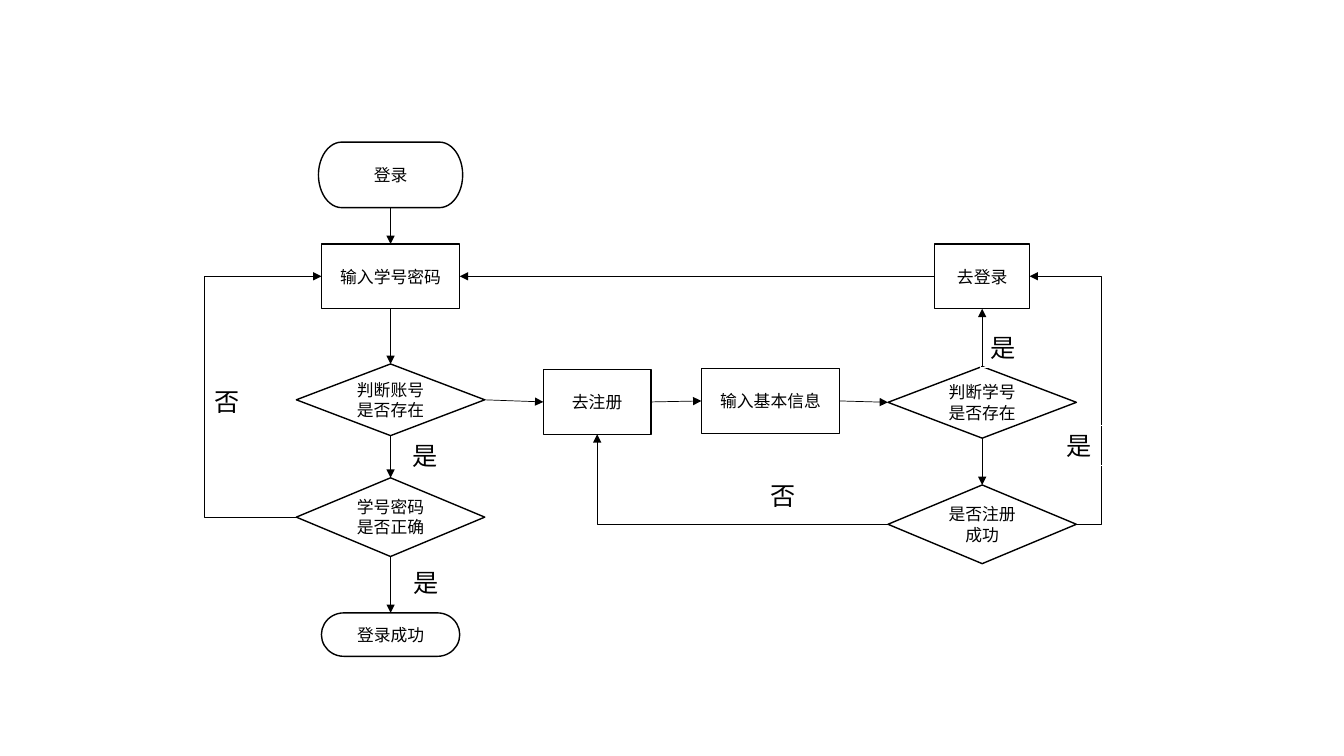
from dataclasses import dataclass
from typing import NamedTuple

from lxml.etree import SubElement
from pptx import Presentation
from pptx.dml.color import RGBColor
from pptx.enum.shapes import MSO_CONNECTOR, MSO_SHAPE
from pptx.enum.text import MSO_ANCHOR, MSO_AUTO_SIZE, PP_ALIGN
from pptx.oxml.ns import qn
from pptx.util import Pt


@dataclass(frozen=True)
class Theme:
    ink: RGBColor = RGBColor(0, 0, 0)
    paper: RGBColor = RGBColor(255, 255, 255)
    font: str = "Noto Sans CJK SC"
    node_size: float = 12
    label_size: float = 18
    node_line: float = 1
    label_line: float = 0.75
    arrow_line: float = 0.5


THEME = Theme()
TOP, LEFT, BOTTOM, RIGHT = range(4)
LOGIN_X, REGISTER_X, INFO_X, CHECK_X = 279, 426.6, 550.4, 701.6


class Node(NamedTuple):
    """A flowchart step placed by its centre."""
    text: str
    kind: MSO_SHAPE
    x: float
    y: float
    w: float
    h: float


class Label(NamedTuple):
    text: str
    x: float
    y: float
    w: float = 34.6
    h: float = 28.8


class Link(NamedTuple):
    start: str
    start_side: int
    end: str
    end_side: int


class Bend(NamedTuple):
    """An elbow arrow; without via_x it turns a single corner."""
    x1: float
    y1: float
    x2: float
    y2: float
    via_x: float | None = None


START = MSO_SHAPE.FLOWCHART_TERMINATOR
STEP = MSO_SHAPE.FLOWCHART_PROCESS
TEST = MSO_SHAPE.FLOWCHART_DECISION

NODES = {
    "login": Node("登录", START, LOGIN_X, 124.9, 103, 46.8),
    "input": Node("输入学号密码", STEP, LOGIN_X, 197.4, 98.8, 46.2),
    "account": Node("判断账号是否存在", TEST, LOGIN_X, 285.6, 134.6, 51.2),
    "password": Node("学号密码是否正确", TEST, LOGIN_X, 369.4, 134.6, 56.2),
    "success": Node("登录成功", START, LOGIN_X, 453.3, 98.8, 31),
    "register": Node("去注册", STEP, REGISTER_X, 287.1, 77, 46.2),
    "info": Node("输入基本信息", STEP, INFO_X, 286.4, 98.8, 46.2),
    "number": Node("判断学号是否存在", TEST, CHECK_X, 287.4, 134.6, 51.2),
    "to_login": Node("去登录", STEP, CHECK_X, 197.4, 67.8, 46.2),
    "registered": Node("是否注册成功", TEST, CHECK_X, 374.5, 134.6, 56.2),
}

LABELS = [
    Label("是", 287.3, 311),
    Label("否", 146.2, 272.2, 32.4),
    Label("是", 700.6, 234),
    Label("是", 288, 401.8),
    Label("否", 543.6, 339.8, 32.4),
]
LABEL_OVER_LINE = Label("是", 754.6, 303.8)

LINKS = [
    Link("login", BOTTOM, "input", TOP),
    Link("input", BOTTOM, "account", TOP),
    Link("account", BOTTOM, "password", TOP),
    Link("password", BOTTOM, "success", TOP),
    Link("account", RIGHT, "register", LEFT),
    Link("register", RIGHT, "info", LEFT),
    Link("info", RIGHT, "number", LEFT),
    Link("number", TOP, "to_login", BOTTOM),
    Link("number", BOTTOM, "registered", TOP),
    Link("to_login", LEFT, "input", RIGHT),
]

BENDS = [
    Bend(211.7, 369.4, 229.6, 197.4, 145.6),
    Bend(768.9, 374.5, 735.5, 197.4, 787),
    Bend(634.3, 374.5, 426.6, 310.2),
]


def write_text(sp, text: str, size: float, align: PP_ALIGN) -> None:
    p = sp.text_frame.paragraphs[0]
    p.alignment = align
    r = p.add_run()
    r.text = text
    r.font.name = THEME.font
    r.font.size = Pt(size)
    r.font.color.rgb = THEME.ink
    SubElement(r.font._element, qn("a:ea"), typeface=THEME.font)


def draw_node(s, node: Node):
    sp = s.shapes.add_shape(node.kind, Pt(node.x - node.w / 2), Pt(node.y - node.h / 2),
                            Pt(node.w), Pt(node.h))
    sp.shadow.inherit = False
    sp.fill.solid()
    sp.fill.fore_color.rgb = THEME.paper
    sp.line.color.rgb = THEME.ink
    sp.line.width = Pt(THEME.node_line)
    sp.text_frame.vertical_anchor = MSO_ANCHOR.MIDDLE
    write_text(sp, node.text, THEME.node_size, PP_ALIGN.CENTER)
    return sp


def draw_label(s, label: Label) -> None:
    sp = s.shapes.add_textbox(Pt(label.x), Pt(label.y), Pt(label.w), Pt(label.h))
    sp.line.color.rgb = THEME.paper
    sp.line.width = Pt(THEME.label_line)
    sp.text_frame.word_wrap = False
    sp.text_frame.auto_size = MSO_AUTO_SIZE.SHAPE_TO_FIT_TEXT
    write_text(sp, label.text, THEME.label_size, PP_ALIGN.LEFT)


def style_arrow(cx) -> None:
    cx.line.color.rgb = THEME.ink
    cx.line.width = Pt(THEME.arrow_line)
    SubElement(cx.line._get_or_add_ln(), qn("a:tailEnd"), type="triangle")
    SubElement(cx._element.spPr, qn("a:effectLst"))


def draw_link(s, link: Link, shapes: dict) -> None:
    cx = s.shapes.add_connector(MSO_CONNECTOR.STRAIGHT, 0, 0, 0, 0)
    cx.begin_connect(shapes[link.start], link.start_side)
    cx.end_connect(shapes[link.end], link.end_side)
    style_arrow(cx)


def draw_bend(s, bend: Bend) -> None:
    cx = s.shapes.add_connector(MSO_CONNECTOR.ELBOW, Pt(bend.x1), Pt(bend.y1),
                                Pt(bend.x2), Pt(bend.y2))
    geom = cx._element.spPr.find(qn("a:prstGeom"))
    if bend.via_x is None:
        geom.set("prst", "bentConnector2")
    else:
        share = (bend.via_x - bend.x1) / (bend.x2 - bend.x1)
        SubElement(geom.find(qn("a:avLst")), qn("a:gd"), name="adj1",
                   fmla=f"val {round(share * 100000)}")
    style_arrow(cx)


def main() -> None:
    prs = Presentation()
    prs.slide_width, prs.slide_height = Pt(960), Pt(540)
    s = prs.slides.add_slide(prs.slide_layouts[6])
    shapes = {name: draw_node(s, node) for name, node in NODES.items()}
    for label in LABELS:
        draw_label(s, label)
    for link in LINKS:
        draw_link(s, link, shapes)
    for bend in BENDS:
        draw_bend(s, bend)
    draw_label(s, LABEL_OVER_LINE)
    prs.save("out.pptx")


if __name__ == "__main__":
    main()
